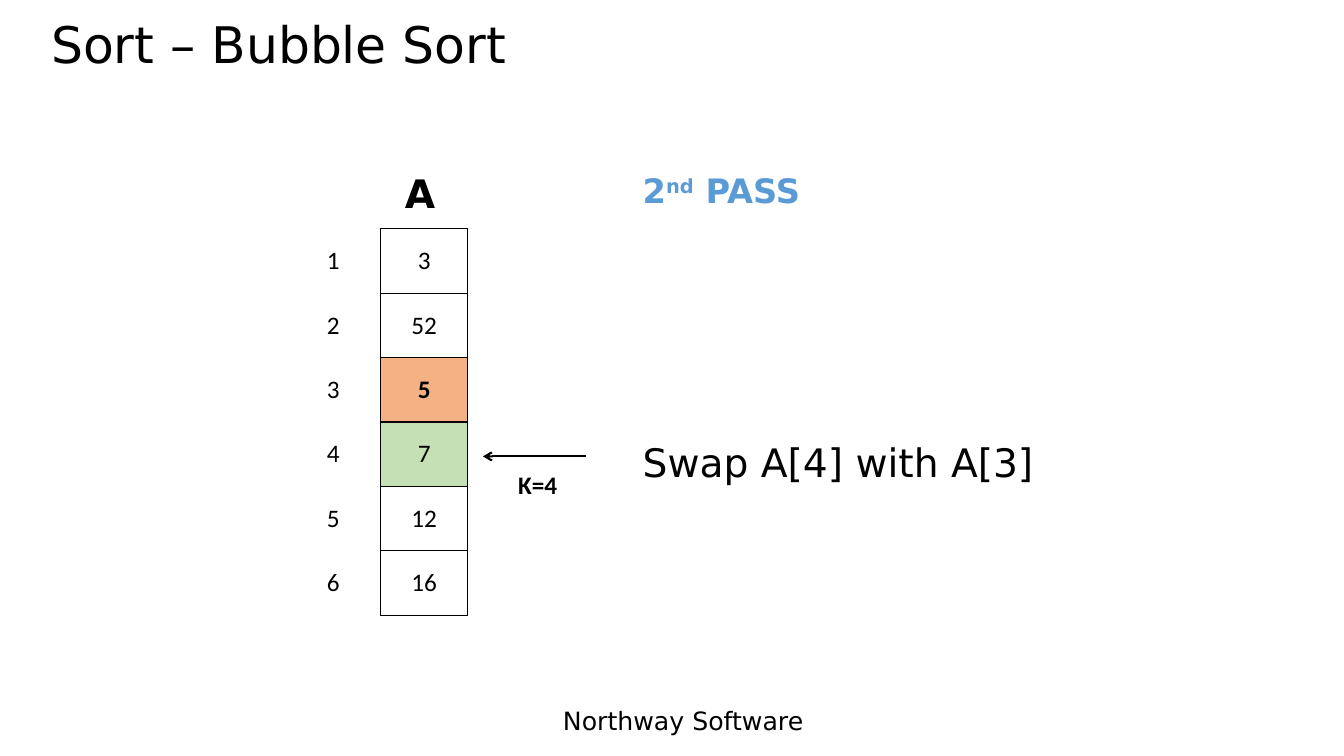
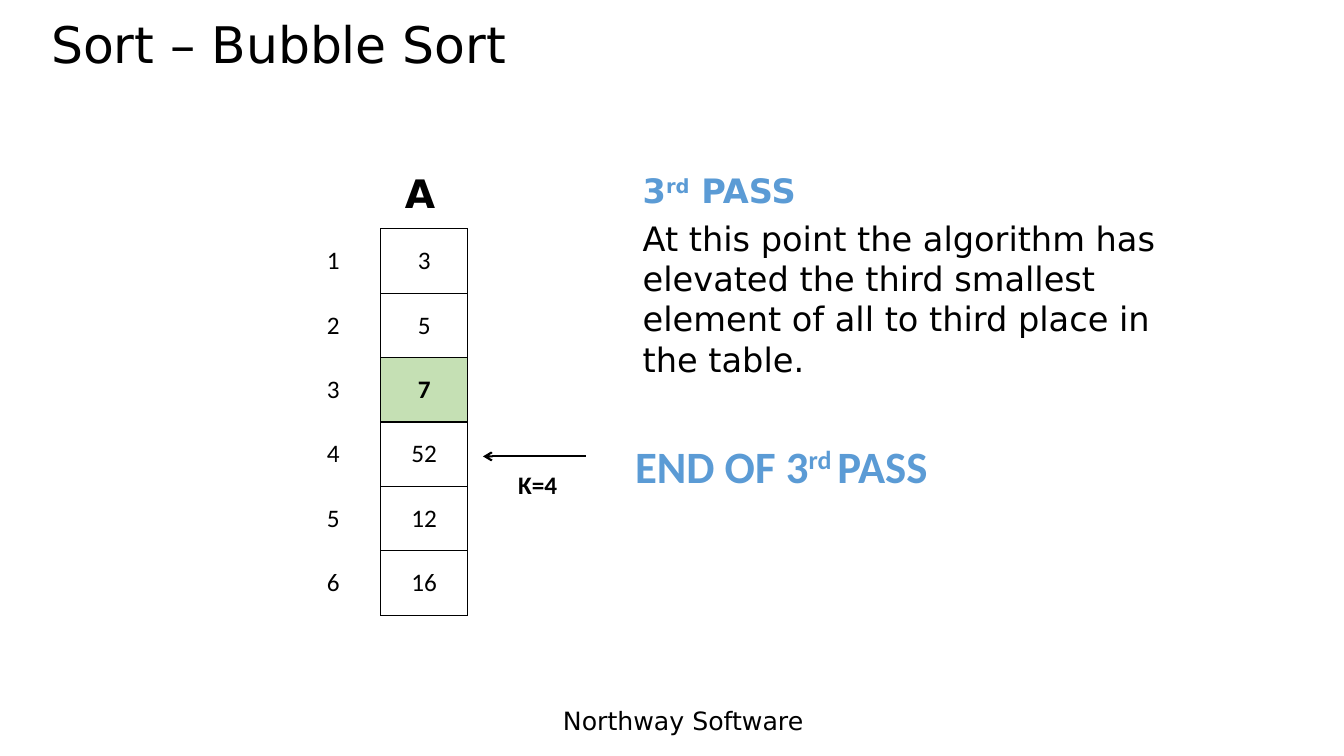
from dataclasses import dataclass

from lxml.etree import SubElement as Sub
from pptx import Presentation as Deck
from pptx.dml.color import RGBColor as RGB
from pptx.enum.shapes import MSO_CONNECTOR as Link
from pptx.enum.text import MSO_ANCHOR as Anchor, PP_ALIGN as Align
from pptx.oxml.ns import qn
from pptx.util import Pt

PLAIN = "{2D5ABB26-0587-4C30-8999-92F81FD0307C}"  # no style, no grid


@dataclass(frozen=True)
class Theme:
    ink: str = "000000"
    blue: str = "5B9BD5"
    orange: str = "F4B183"
    green: str = "C5E0B4"
    sans: str = "DejaVu Sans"
    body: str = "Calibri"
    title: int = 36
    end: int = 32
    large: int = 28
    mid: int = 24
    small: int = 18


class Board:
    """Holds the style and the current slide."""

    def __init__(self, theme):
        self.theme = theme
        self.deck = Deck()
        self.deck.slide_width, self.deck.slide_height = Pt(960), Pt(540)
        self.slide = None

    def page(self, title):
        """Start a slide with the shared title and footer."""
        t = self.theme
        self.slide = self.deck.slides.add_slide(self.deck.slide_layouts[6])
        self.text(title, 29.5, 11, 865, 68, t.title, gap=0.9)
        self.text("Northway Software", 395, 500, 209, 29, t.small)

    def style(self, para, size, face, color, bold, align):
        para.alignment = align
        font = para.font
        font.size, font.name, font.bold = Pt(size), face, bold
        font.color.rgb = RGB.from_string(color)

    def text(self, words, x, y, w, h, size, face=None, color=None,
             bold=False, align=Align.LEFT, gap=None):
        """Add a text box; in a list of parts, every second is raised."""
        t = self.theme
        box = self.slide.shapes.add_textbox(Pt(x), Pt(y), Pt(w), Pt(h))
        box.text_frame.word_wrap = True
        para = box.text_frame.paragraphs[0]
        self.style(para, size, face or t.sans, color or t.ink, bold, align)
        if gap:
            para.line_spacing = gap
        for i, part in enumerate([words] if isinstance(words, str) else words):
            run = para.add_run()
            run.text = part
            if i % 2:
                run._r.get_or_add_rPr().set("baseline", "30000")

    def border(self, cell):
        props = cell._tc.get_or_add_tcPr()
        for i, side in enumerate(("lnL", "lnR", "lnT", "lnB")):
            line = props.makeelement(qn(f"a:{side}"), {"w": str(Pt(1))})
            fill = Sub(line, qn("a:solidFill"))
            Sub(fill, qn("a:srgbClr"), val=self.theme.ink)
            props.insert(i, line)

    def column(self, values, x, w, fills=None, strong=None, grid=False):
        """Add a one-column table; rows are counted from 1."""
        t, fills, high = self.theme, fills or {}, 46
        table = self.slide.shapes.add_table(
            len(values), 1, Pt(x), Pt(163.5), Pt(w), Pt(high * len(values))
        ).table
        table.first_row = table.horz_banding = False
        table._tbl.tblPr.find(qn("a:tableStyleId")).text = PLAIN
        for row, value in enumerate(values, 1):
            table.rows[row - 1].height = Pt(high)
            cell = table.cell(row - 1, 0)
            cell.text = str(value)
            cell.vertical_anchor = Anchor.MIDDLE
            self.style(cell.text_frame.paragraphs[0], t.small, t.body, t.ink,
                       row == strong, Align.CENTER)
            if row in fills:
                cell.fill.solid()
                cell.fill.fore_color.rgb = RGB.from_string(fills[row])
            else:
                cell.fill.background()
            if grid:
                self.border(cell)

    def arrow(self, x1, x2, y):
        line = self.slide.shapes.add_connector(
            Link.STRAIGHT, Pt(x1), Pt(y), Pt(x2), Pt(y))
        line.line.width = Pt(1.5)
        line.line.color.rgb = RGB.from_string(self.theme.ink)
        Sub(line.line._get_or_add_ln(), qn("a:tailEnd"), type="arrow")
        Sub(line._element.spPr, qn("a:effectLst"))

    def step(self, rank, values, fills):
        """Draw one state of the sort: array, indices, pointer, pass."""
        t = self.theme
        self.page("Sort – Bubble Sort")
        self.column(values, 272, 62, fills, strong=3, grid=True)
        self.column(range(1, len(values) + 1), 221, 34)
        self.arrow(418.5, 345, 326)
        self.text("Κ=4", 345, 332, 78, 29, t.small, t.body, bold=True,
                  align=Align.CENTER)
        self.text([*rank, " PASS"], 452, 118, 372, 36, t.mid,
                  color=t.blue, bold=True)
        self.text("A", 255, 117.5, 90, 41, t.large, bold=True,
                  align=Align.CENTER)


def main():
    t = Theme()
    board = Board(t)

    # Second pass: swap
    board.step(("2", "nd"), [3, 52, 5, 7, 12, 16], {3: t.orange, 4: t.green})
    board.text("Swap A[4] with A[3]", 452, 309.5, 372, 41, t.large)

    # Third pass: end
    board.step(("3", "rd"), [3, 5, 7, 52, 12, 16], {3: t.green})
    board.text("At this point the algorithm has elevated the third smallest "
               "element of all to third place in the table.",
               452, 152, 420, 124, t.mid)
    board.text(["END OF 3", "rd ", "PASS"], 446.5, 309.5, 372, 46, t.end,
               t.body, t.blue, bold=True)

    board.deck.save("out.pptx")


if __name__ == "__main__":
    main()
